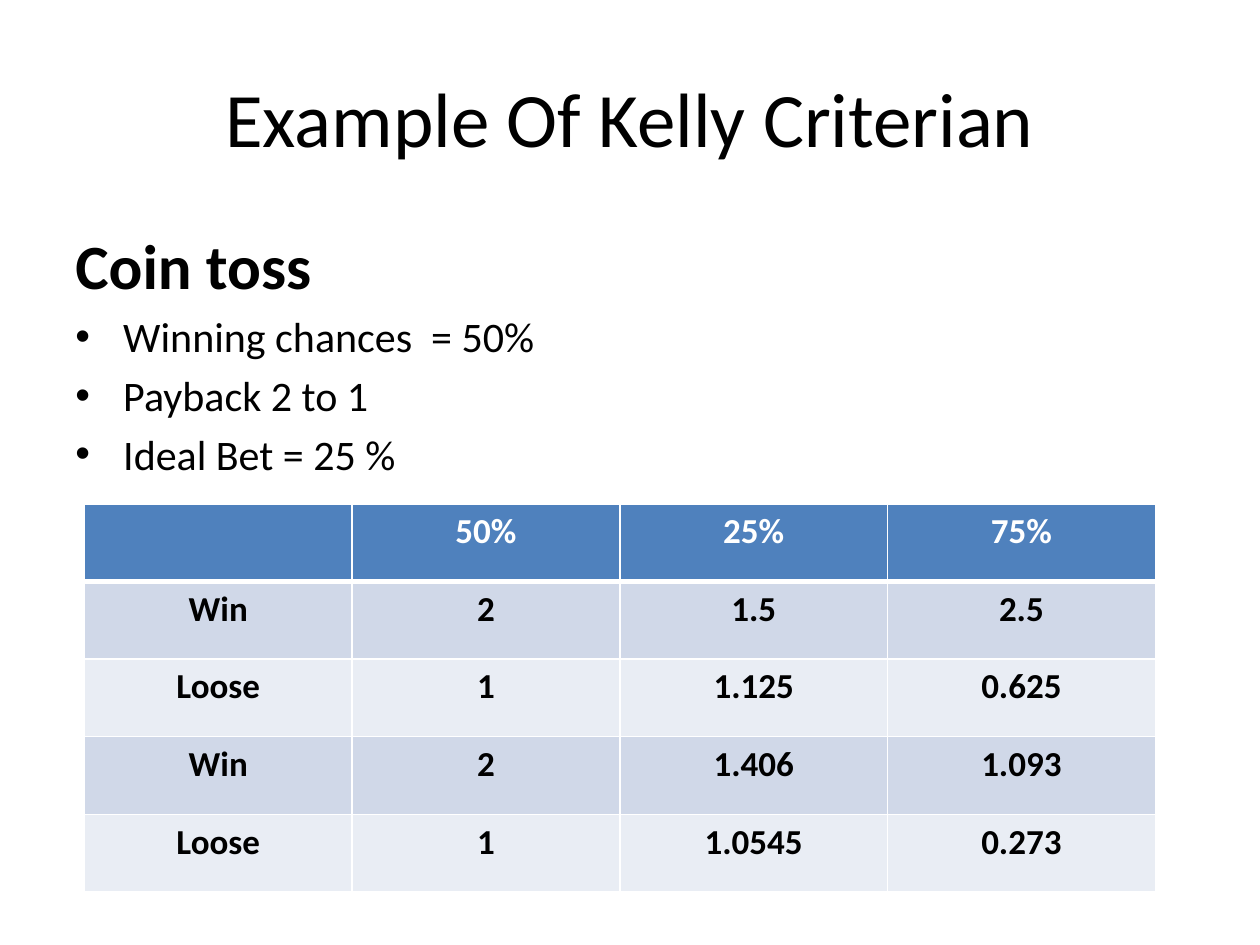
from dataclasses import dataclass

import lxml.etree
import pptx
import pptx.dml.color
import pptx.enum.text
import pptx.oxml.ns
import pptx.slide
import pptx.table
import pptx.text.text
import pptx.util
from pptx.dml.color import RGBColor
from pptx.util import Inches, Pt

FONT = "Calibri"
BLACK = RGBColor(0x00, 0x00, 0x00)
WHITE = RGBColor(0xFF, 0xFF, 0xFF)
HEADER_BLUE = RGBColor(0x4F, 0x81, 0xBD)
BAND_DARK = RGBColor(0xD0, 0xD8, 0xE8)
BAND_LIGHT = RGBColor(0xE9, 0xED, 0xF4)
CENTER = pptx.enum.text.PP_ALIGN.CENTER
HANGING_INDENT = Inches(0.38)


@dataclass(frozen=True)
class BodyLine:
    text: str
    size: int = 24
    bold: bool = False
    bullet: bool = True


BODY_LINES = [
    BodyLine("Coin toss", size=36, bold=True, bullet=False),
    BodyLine("Winning chances  = 50%"),
    BodyLine("Payback 2 to 1"),
    BodyLine("Ideal Bet = 25 %"),
]

BET_ROWS = [
    ("", "50%", "25%", "75%"),
    ("Win", "2", "1.5", "2.5"),
    ("Loose", "1", "1.125", "0.625"),
    ("Win", "2", "1.406", "1.093"),
    ("Loose", "1", "1.0545", "0.273"),
]


def set_font(
    para: pptx.text.text._Paragraph, size: int, color: RGBColor, bold: bool = False
) -> None:
    para.font.name = FONT
    para.font.size = Pt(size)
    para.font.bold = bold
    para.font.color.rgb = color


def add_child(parent: lxml.etree._Element, tag: str, **attributes: str) -> lxml.etree._Element:
    return lxml.etree.SubElement(parent, pptx.oxml.ns.qn(tag), attributes)


def set_hanging_indent(para: pptx.text.text._Paragraph, bullet: bool) -> None:
    properties = para._p.get_or_add_pPr()
    properties.set("marL", str(HANGING_INDENT))
    properties.set("indent", str(-HANGING_INDENT))
    if bullet:
        add_child(properties, "a:buFont", typeface="Arial")
        add_child(properties, "a:buChar", char="•")
    else:
        add_child(properties, "a:buNone")


def set_borders(cell: pptx.table._Cell, top: float, bottom: float) -> None:
    """Draw white borders; the sides are always one point wide."""
    properties = cell._tc.get_or_add_tcPr()
    for side, width in (("L", 1), ("R", 1), ("T", top), ("B", bottom)):
        line = add_child(properties, f"a:ln{side}", w=str(Pt(width)))
        fill = add_child(line, "a:solidFill")
        add_child(fill, "a:srgbClr", val=str(WHITE))


def add_title(page: pptx.slide.Slide, text: str) -> None:
    box = page.shapes.add_textbox(Inches(0.5), Inches(0.3), Inches(9), Inches(1.25))
    frame = box.text_frame
    frame.word_wrap = True
    frame.vertical_anchor = pptx.enum.text.MSO_ANCHOR.MIDDLE
    para = frame.paragraphs[0]
    para.text = text
    para.alignment = CENTER
    set_font(para, 44, BLACK)


def add_body(page: pptx.slide.Slide, lines: list[BodyLine]) -> None:
    box = page.shapes.add_textbox(Inches(0.5), Inches(1.75), Inches(9), Inches(4.95))
    frame = box.text_frame
    frame.word_wrap = True
    for index, line in enumerate(lines):
        para = frame.add_paragraph() if index else frame.paragraphs[0]
        para.text = line.text
        para.space_before = Pt(line.size * 0.2)
        set_hanging_indent(para, line.bullet)
        set_font(para, line.size, BLACK, line.bold)


def add_bet_table(page: pptx.slide.Slide, rows: list[tuple[str, ...]]) -> None:
    frame = page.shapes.add_table(
        len(rows), len(rows[0]), Inches(0.67), Inches(4), Inches(8.5), Inches(3.08)
    )
    table = frame.table
    for row_index, values in enumerate(rows):
        is_header = row_index == 0
        band = BAND_DARK if row_index % 2 else BAND_LIGHT
        for column_index, value in enumerate(values):
            cell = table.cell(row_index, column_index)
            set_borders(cell, top=3 if row_index == 1 else 1, bottom=3 if is_header else 1)
            cell.fill.solid()
            cell.fill.fore_color.rgb = HEADER_BLUE if is_header else band
            para = cell.text_frame.paragraphs[0]
            para.text = value
            para.alignment = CENTER
            set_font(para, 20, WHITE if is_header else BLACK, bold=True)


def main() -> None:
    deck = pptx.Presentation()
    deck.slide_width = Inches(10)
    deck.slide_height = Inches(7.5)
    page = deck.slides.add_slide(deck.slide_layouts[6])
    add_title(page, "Example Of Kelly Criterian")
    add_body(page, BODY_LINES)
    add_bet_table(page, BET_ROWS)
    deck.save("out.pptx")


if __name__ == "__main__":
    main()
